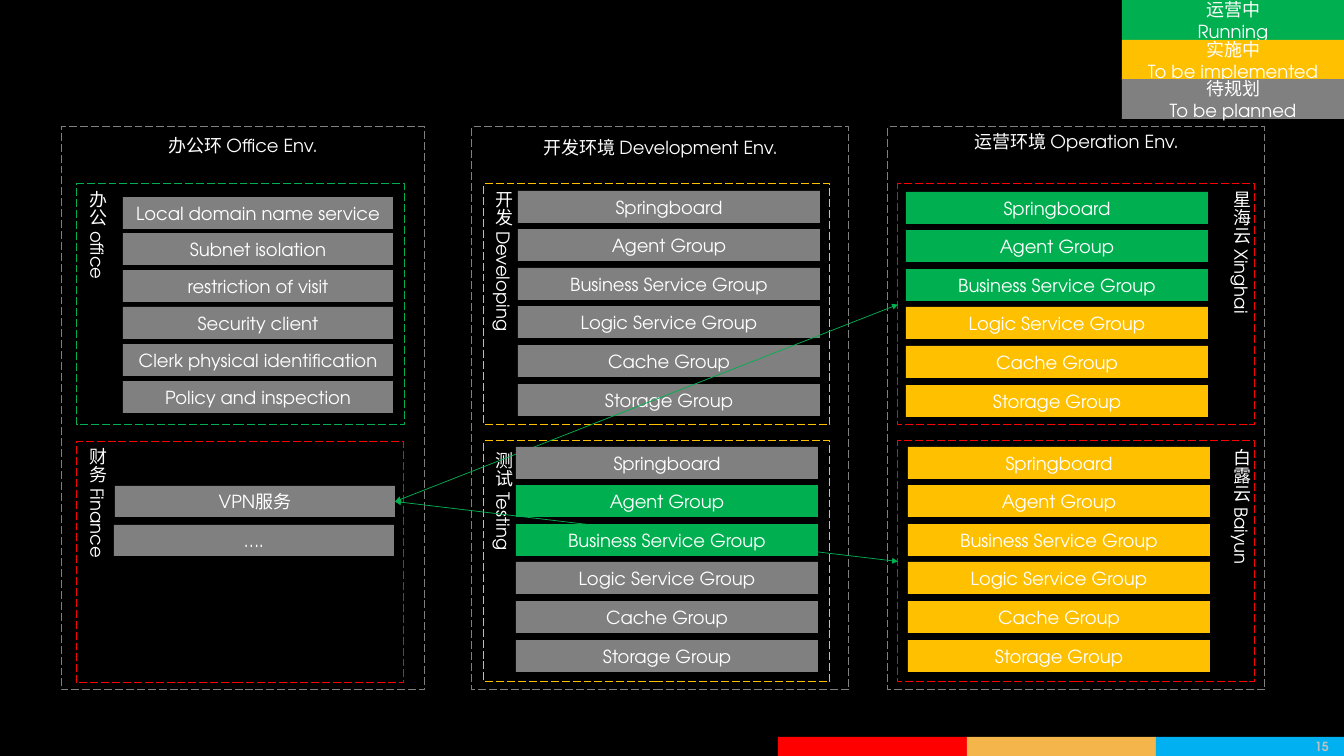
from lxml.etree import SubElement
from pptx import Presentation
from pptx.dml.color import RGBColor
from pptx.enum.dml import MSO_LINE_DASH_STYLE as DASH
from pptx.enum.shapes import MSO_CONNECTOR as CONN, MSO_SHAPE as SHAPE
from pptx.enum.text import MSO_ANCHOR as ANCHOR, PP_ALIGN as ALIGN
from pptx.oxml.ns import qn
from pptx.util import Pt

PX = 12700
FONT = "TeX Gyre Adventor"
BLACK = RGBColor(0x00, 0x00, 0x00)
WHITE = RGBColor(0xFF, 0xFF, 0xFF)
SILVER = RGBColor(0xBF, 0xBF, 0xBF)
GRAY = RGBColor(0x80, 0x80, 0x80)
GREEN = RGBColor(0x00, 0xB0, 0x50)
AMBER = RGBColor(0xFF, 0xC0, 0x00)
RED = RGBColor(0xFF, 0x00, 0x00)
ORANGE = RGBColor(0xF4, 0xB5, 0x4B)
BLUE = RGBColor(0x00, 0xB0, 0xF0)

BODY = {"name": FONT, "size": Pt(18)}
PAGE = {"name": FONT, "size": Pt(12.6), "bold": True}

LEGEND = [
    (0, GREEN, ["运营中", "Running"]),
    (40, AMBER, ["实施中", "To be implemented"]),
    (79, GRAY, ["待规划", "To be planned"]),
]
ENVIRONMENTS = [
    (61, 364, 131, "办公环 Office Env."),
    (472, 377, 133, "开发环境 Development Env."),
    (888, 377, 127, "运营环境 Operation Env."),
]
ZONES = {
    "office": (77, 184, 328, GREEN),
    "finance": (76, 442, 328, RED),
    "developing": (484, 184, 346, AMBER),
    "testing": (484, 441, 346, AMBER),
    "cloud_a": (898, 184, 357, RED),
    "cloud_b": (898, 441, 357, RED),
}
ZONE_LABELS = [
    (76, 184, "办公 office"),
    (76, 441, "财务 Finance"),
    (482, 184, "开发 Developing"),
    (482, 445, "测试 Testing"),
    (1220, 184, "星海云 Xinghai"),
    (1220, 442, "白露云 Baiyun"),
]
OFFICE_ITEMS = [
    "Local domain name service", "Subnet isolation", "restriction of visit",
    "Security client", "Clerk physical identification", "Policy and inspection",
]
SERVICES = [
    "Springboard", "Agent Group", "Business Service Group",
    "Logic Service Group", "Cache Group", "Storage Group",
]


def write(sp, lines, fmt=BODY, color=WHITE, align=ALIGN.CENTER, anchor=ANCHOR.MIDDLE):
    tf = sp.text_frame
    tf.word_wrap = True
    tf.vertical_anchor = anchor
    for i, line in enumerate(lines):
        p = tf.add_paragraph() if i else tf.paragraphs[0]
        p.alignment = align
        r = p.add_run()
        r.text = line
        for key, value in fmt.items():
            setattr(r.font, key, value)
        r.font.color.rgb = color


def add_rect(s, x, y, w, h):
    sp = s.shapes.add_shape(SHAPE.RECTANGLE, x * PX, y * PX, w * PX, h * PX)
    sp.shadow.inherit = False
    return sp


def add_block(s, x, y, w, h, color, lines=()):
    sp = add_rect(s, x, y, w, h)
    sp.fill.solid()
    sp.fill.fore_color.rgb = color
    sp.line.fill.background()
    write(sp, lines)
    return sp


def add_frame(s, x, y, w, h, color):
    sp = add_rect(s, x, y, w, h)
    sp.fill.background()
    sp.line.color.rgb = color
    for key, value in {"width": Pt(1), "dash_style": DASH.LONG_DASH}.items():
        setattr(sp.line, key, value)
    return sp


def add_label(s, x, y, w, h, text, **layout):
    sp = s.shapes.add_textbox(x * PX, y * PX, w * PX, h * PX)
    write(sp, [text], **layout)
    return sp


def add_vertical_label(s, x, y, text):
    sp = add_label(s, x, y, 36, 240, text, align=ALIGN.LEFT, anchor=ANCHOR.TOP)
    next(sp.element.iter(qn("a:bodyPr"))).set("vert", "eaVert")


def add_stack(s, x, y, w, h, span, labels, colors):
    for i, (label, color) in enumerate(zip(labels, colors)):
        add_block(s, x, y + i * span // (len(labels) - 1), w, h, color, [label])


def add_services(s, x, y, colors):
    add_stack(s, x, y, 302, 32, 193, SERVICES, colors)


def add_link(s, source, target):
    c = s.shapes.add_connector(
        CONN.STRAIGHT, source.left + source.width, source.top + source.height // 2,
        target.left, target.top + target.height // 2)
    c.begin_connect(source, 3)
    c.end_connect(target, 1)
    c.line.color.rgb = GREEN
    c.line.width = Pt(0.75)
    ln = c.line.fill and c.element.spPr.find(qn("a:ln"))
    for end in ("a:headEnd", "a:tailEnd"):
        SubElement(ln, qn(end)).set("type", "triangle")
    SubElement(c.element.spPr, qn("a:effectLst"))


def main():
    prs = Presentation()
    prs.slide_width, prs.slide_height = 1344 * PX, 756 * PX
    s = prs.slides.add_slide(prs.slide_layouts[6])
    s.background.fill.solid()
    s.background.fill.fore_color.rgb = BLACK

    for i, color in enumerate([RED, ORANGE, BLUE]):
        add_block(s, 778 + i * 189, 737, 189, 19, color)
    add_label(s, 1276, 737, 60, 19, "15", fmt=PAGE, color=SILVER, align=ALIGN.RIGHT)

    for y, color, lines in LEGEND:
        add_block(s, 1122, y, 222, 40, color, lines)
    for x, w, title_y, title in ENVIRONMENTS:
        add_frame(s, x, 127, w, 563, GRAY)
        add_label(s, x, title_y, w, 29, title, anchor=ANCHOR.TOP)
    zones = {name: add_frame(s, x, y, w, 241, color)
             for name, (x, y, w, color) in ZONES.items()}
    for x, y, text in ZONE_LABELS:
        add_vertical_label(s, x, y, text)

    add_services(s, 518, 191, [GRAY] * 6)
    vpn = add_block(s, 115, 486, 280, 31, GRAY, ["VPN服务"])
    add_block(s, 114, 525, 280, 31, GRAY, ["…."])
    for name in ("cloud_b", "cloud_a"):
        add_link(s, vpn, zones[name])
    add_services(s, 516, 447, [GRAY] + [GREEN] * 2 + [GRAY] * 3)
    add_services(s, 906, 192, [GREEN] * 3 + [AMBER] * 3)
    add_services(s, 908, 447, [AMBER] * 6)
    add_stack(s, 123, 197, 270, 32, 184, OFFICE_ITEMS, [GRAY] * 6)

    prs.save("out.pptx")


if __name__ == "__main__":
    main()
